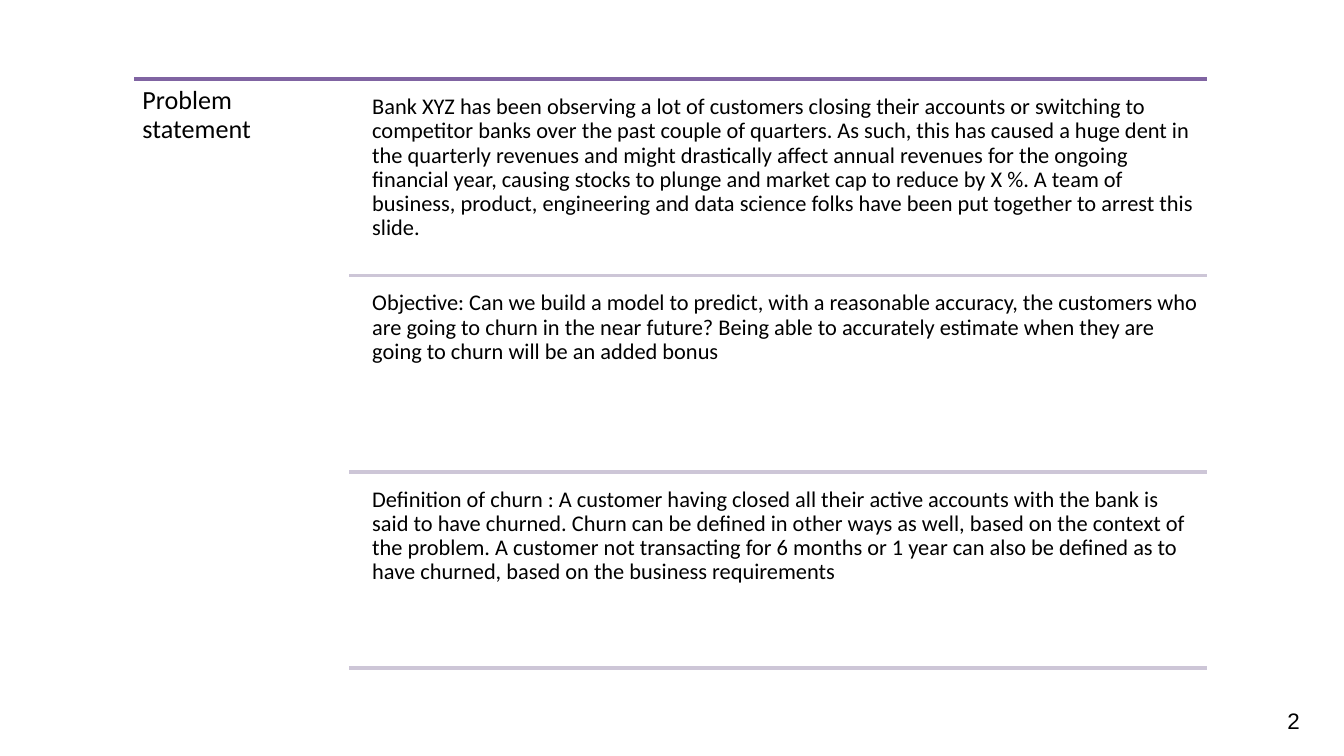
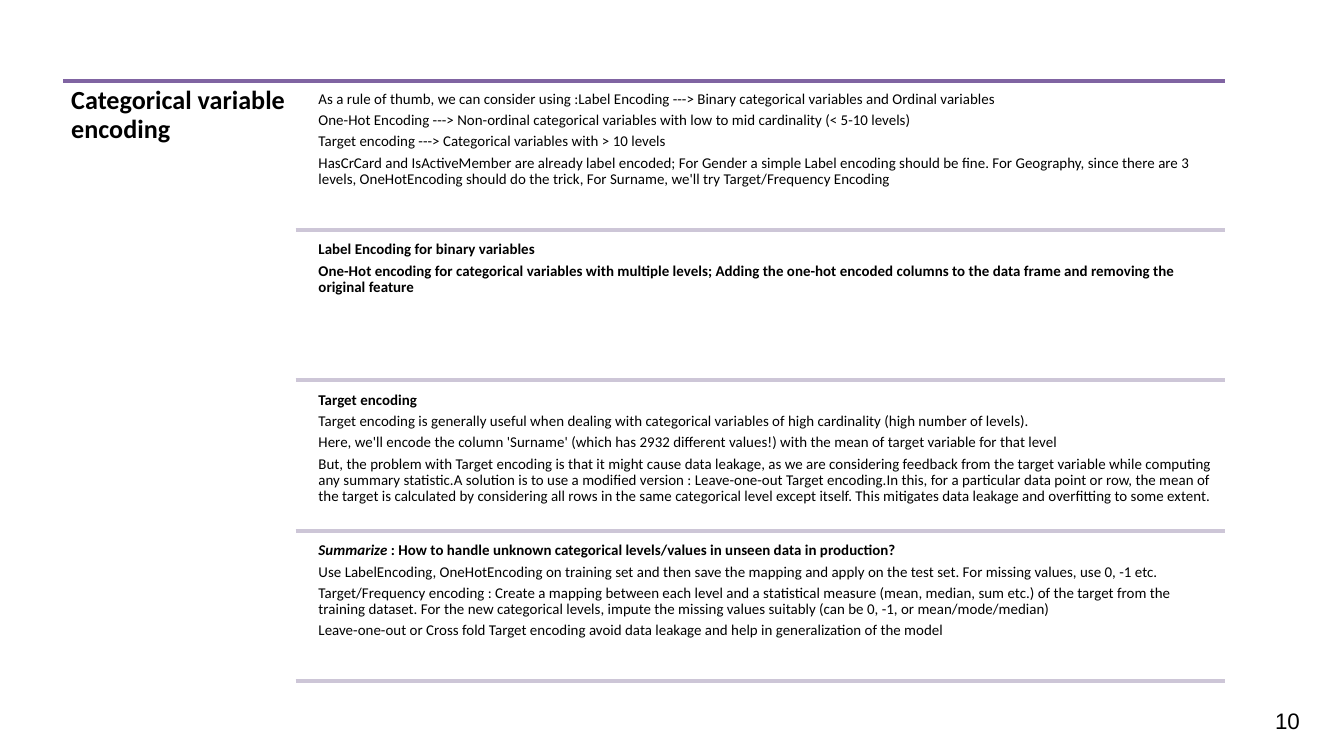
from dataclasses import dataclass

from lxml.etree import SubElement
from pptx import Presentation
from pptx.dml.color import RGBColor
from pptx.enum.shapes import MSO_CONNECTOR
from pptx.enum.text import MSO_ANCHOR, MSO_AUTO_SIZE, PP_ALIGN
from pptx.oxml.ns import qn
from pptx.util import Emu, Pt


@dataclass(frozen=True)
class Theme:
    text: RGBColor = RGBColor(0x00, 0x00, 0x00)
    accent: RGBColor = RGBColor(0x80, 0x64, 0xA2)
    divider: RGBColor = RGBColor(0xCD, 0xC6, 0xD7)
    body_font: str = "Calibri"
    number_font: str = "Arial"
    title_size: int = 14
    number_size: int = 12
    rule_width: int = 2
    line_spacing: float = 0.9
    space_after: float = 0.35


THEME = Theme()
EMU_PER_PX = 4572
SLIDE_SIZE = (2000, 1125)
NUMBER_BOX = (1824, 1043, 130, 60)
TITLE_INSET = 12
PLAIN, BOLD, BOLD_ITALIC = (False, False), (True, False), (True, True)

SLIDES = [
    {
        "number": "2",
        "title": "Problem statement",
        "title_bold": False,
        "title_box": (200, 118, 320, 888),
        "rule_top": 118,
        "right": 1796,
        "text_left": 544,
        "first_row": 132,
        "row_height": 278,
        "row_gap": 14,
        "inset": 10,
        "size": 12,
        "rows": [
            [[("Bank XYZ has been observing a lot of customers closing their accounts or switching to "
               "competitor banks over the past couple of quarters. As such, this has caused a huge dent in "
               "the quarterly revenues and might drastically affect annual revenues for the ongoing "
               "financial year, causing stocks to plunge and market cap to reduce by X %. A team of "
               "business, product, engineering and data science folks have been put together to arrest "
               "this slide.", PLAIN)]],
            [[("Objective: Can we build a model to predict, with a reasonable accuracy, the customers who "
               "are going to churn in the near future? Being able to accurately estimate when they are "
               "going to churn will be an added bonus", PLAIN)]],
            [[("Definition of churn : A customer having closed all their active accounts with the bank is "
               "said to have churned. Churn can be defined in other ways as well, based on the context of "
               "the problem. A customer not transacting for 6 months or 1 year can also be defined as to "
               "have churned, based on the business requirements", PLAIN)]],
        ],
    },
    {
        "number": "10",
        "title": "Categorical variable encoding",
        "title_bold": True,
        "title_box": (94, 118, 346, 906),
        "rule_top": 121,
        "right": 1823,
        "text_left": 466,
        "first_row": 128,
        "row_height": 214,
        "row_gap": 10,
        "inset": 8,
        "size": 8,
        "rows": [
            [
                [("As a rule of thumb, we can consider using :Label Encoding ---> Binary categorical "
                  "variables and Ordinal variables", PLAIN)],
                [("One-Hot Encoding ---> Non-ordinal categorical variables with low to mid cardinality "
                  "(< 5-10 levels)", PLAIN)],
                [("Target encoding ---> Categorical variables with > 10 levels", PLAIN)],
                [("HasCrCard and IsActiveMember are already label encoded; For Gender a simple Label "
                  "encoding should be fine. For Geography, since there are 3 levels, OneHotEncoding should "
                  "do the trick, For Surname, we'll try Target/Frequency Encoding", PLAIN)],
            ],
            [
                [("Label Encoding for binary variables", BOLD)],
                [("One-Hot encoding for categorical variables with multiple levels; Adding the one-hot "
                  "encoded columns to the data frame and removing the original feature", BOLD)],
            ],
            [
                [("Target encoding", BOLD)],
                [("Target encoding is generally useful when dealing with categorical variables of high "
                  "cardinality (high number of levels).", PLAIN)],
                [("Here, we'll encode the column 'Surname' (which has 2932 different values!) with the "
                  "mean of target variable for that level", PLAIN)],
                [("But, the problem with Target encoding is that it might cause data leakage, as we are "
                  "considering feedback from the target variable while computing any summary statistic."
                  "A solution is to use a modified version : Leave-one-out Target encoding.In this, for a "
                  "particular data point or row, the mean of the target is calculated by considering all "
                  "rows in the same categorical level except itself. This mitigates data leakage and "
                  "overfitting to some extent.", PLAIN)],
            ],
            [
                [("Summarize", BOLD_ITALIC),
                 (" : How to handle unknown categorical levels/values in unseen data in production?", BOLD)],
                [("Use LabelEncoding, OneHotEncoding on training set and then save the mapping and apply "
                  "on the test set. For missing values, use 0, -1 etc.", PLAIN)],
                [("Target/Frequency encoding : Create a mapping between each level and a statistical "
                  "measure (mean, median, sum etc.) of the target from the training dataset. For the new "
                  "categorical levels, impute the missing values suitably (can be 0, -1, or "
                  "mean/mode/median)", PLAIN)],
                [("Leave-one-out or Cross fold Target encoding avoid data leakage and help in "
                  "generalization of the model", PLAIN)],
            ],
        ],
    },
]


def px(length):
    return Emu(length * EMU_PER_PX)


def place(shape, box):
    shape.left, shape.top, shape.width, shape.height = map(px, box)


def set_frame(text_frame, inset):
    text_frame.word_wrap = True
    text_frame.auto_size = MSO_AUTO_SIZE.NONE
    text_frame.vertical_anchor = MSO_ANCHOR.TOP
    text_frame.margin_left = text_frame.margin_right = px(inset)
    text_frame.margin_top = text_frame.margin_bottom = px(inset)


def set_font(font, name, size, style=PLAIN):
    font.name = name
    font.size = Pt(size)
    font.bold, font.italic = style
    font.color.rgb = THEME.text


def set_spacing(paragraph, size):
    paragraph.alignment = PP_ALIGN.LEFT
    paragraph.line_spacing = THEME.line_spacing
    paragraph.space_after = Pt(size * THEME.space_after)


def add_rule(slide, left, right, top, color):
    rule = slide.shapes.add_connector(MSO_CONNECTOR.STRAIGHT, px(left), px(top), px(right), px(top))
    rule.line.color.rgb = color
    rule.line.width = Pt(THEME.rule_width)
    SubElement(rule._element.spPr, qn("a:effectLst"))


def add_number(slide, number):
    box = slide.shapes.add_textbox(*map(px, NUMBER_BOX))
    box.text_frame.word_wrap = True
    box.text_frame.vertical_anchor = MSO_ANCHOR.MIDDLE
    box.text_frame.text = number
    paragraph = box.text_frame.paragraphs[0]
    paragraph.alignment = PP_ALIGN.RIGHT
    set_font(paragraph.runs[0].font, THEME.number_font, THEME.number_size)


def set_title(slide, content):
    title = slide.shapes.title
    place(title, content["title_box"])
    title.text_frame.text = content["title"]
    set_frame(title.text_frame, TITLE_INSET)
    paragraph = title.text_frame.paragraphs[0]
    set_spacing(paragraph, THEME.title_size)
    set_font(paragraph.runs[0].font, THEME.body_font, THEME.title_size, (content["title_bold"], False))


def add_row_text(slide, box, paragraphs, inset, size):
    text_frame = slide.shapes.add_textbox(*map(px, box)).text_frame
    set_frame(text_frame, inset)
    for index, runs in enumerate(paragraphs):
        paragraph = text_frame.add_paragraph() if index else text_frame.paragraphs[0]
        set_spacing(paragraph, size)
        for text, style in runs:
            run = paragraph.add_run()
            run.text = text
            set_font(run.font, THEME.body_font, size, style)


def build_slide(presentation, content):
    slide = presentation.slides.add_slide(presentation.slide_layouts.get_by_name("Title Only"))
    title_left, _, title_width, _ = content["title_box"]
    text_left, right, height = content["text_left"], content["right"], content["row_height"]
    add_number(slide, content["number"])
    add_rule(slide, title_left, right, content["rule_top"], THEME.accent)
    set_title(slide, content)
    for index, paragraphs in enumerate(content["rows"]):
        top = content["first_row"] + index * (height + content["row_gap"])
        box = (text_left, top, right - text_left, height)
        add_row_text(slide, box, paragraphs, content["inset"], content["size"])
        add_rule(slide, title_left + title_width, right, top + height, THEME.divider)


def main():
    presentation = Presentation()
    presentation.slide_width, presentation.slide_height = map(px, SLIDE_SIZE)
    for content in SLIDES:
        build_slide(presentation, content)
    presentation.save("out.pptx")


if __name__ == "__main__":
    main()
